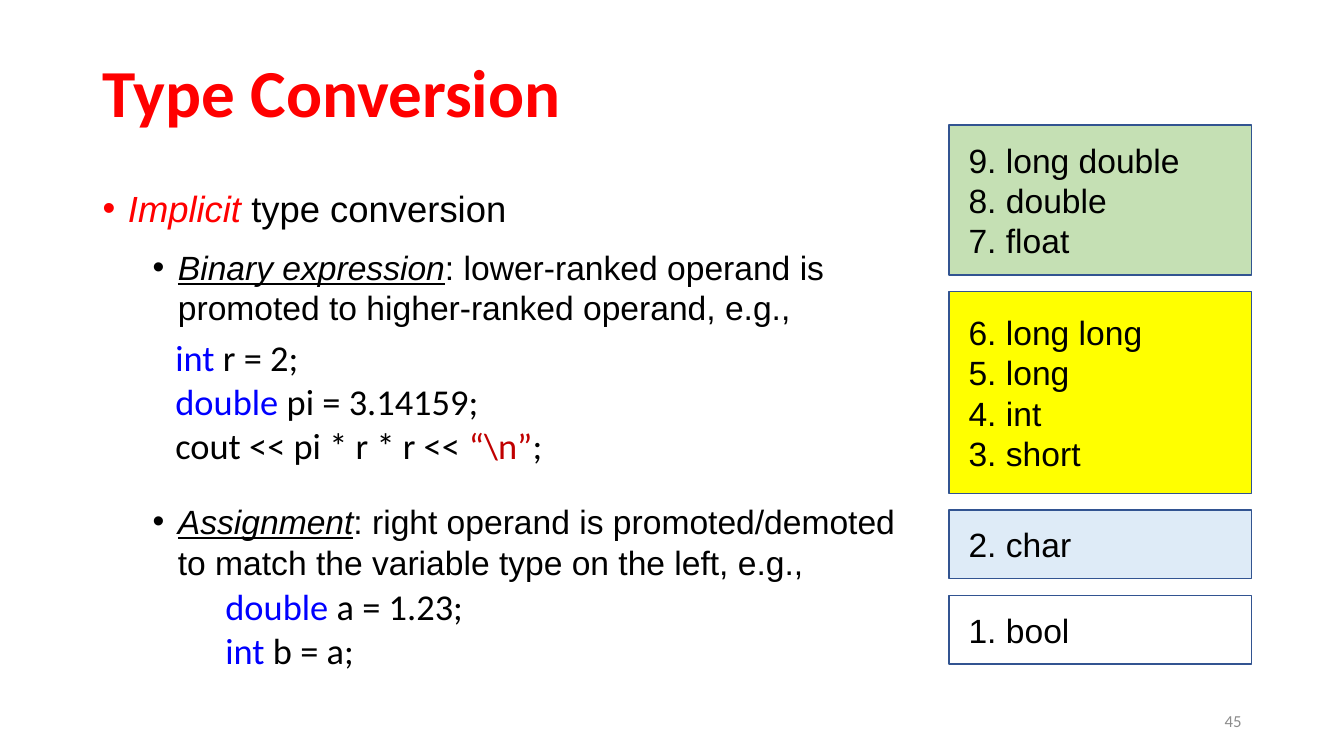
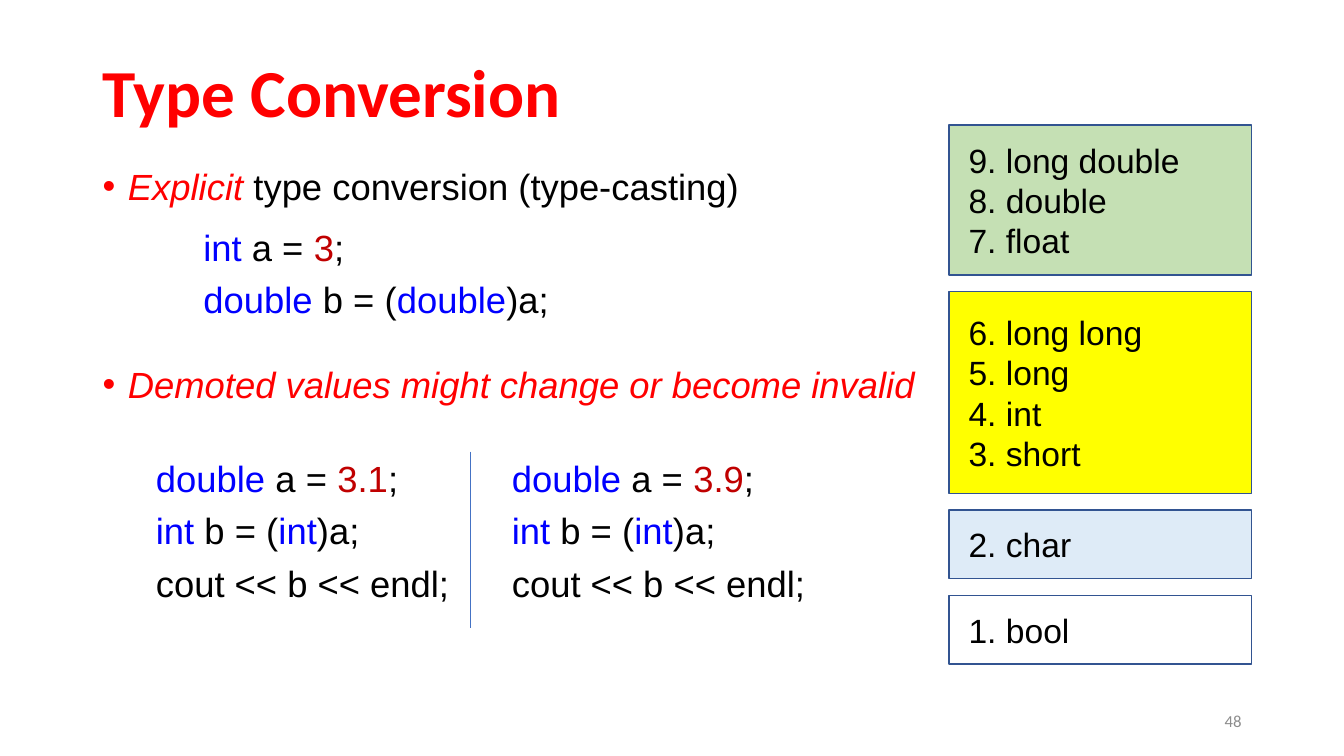
"""Builds two slides on implicit and explicit type conversion."""
from lxml import etree
from pptx import Presentation
from pptx.dml.color import RGBColor
from pptx.enum import shapes, text
from pptx.oxml.ns import qn
from pptx.util import Cm, Pt

RED = RGBColor(0xFF, 0x00, 0x00)
BLACK = RGBColor(0x00, 0x00, 0x00)
KEYWORD = RGBColor(0x00, 0x00, 0xFF)
LITERAL = RGBColor(0xC0, 0x00, 0x00)
GREY = RGBColor(0x8C, 0x8C, 0x8C)
OUTLINE = RGBColor(0x32, 0x54, 0x91)
DIVIDER = RGBColor(0x44, 0x72, 0xC4)
GREEN = RGBColor(0xC5, 0xE0, 0xB4)
YELLOW = RGBColor(0xFF, 0xFF, 0x00)
PALE_BLUE = RGBColor(0xDE, 0xEB, 0xF7)
WHITE = RGBColor(0xFF, 0xFF, 0xFF)

STYLES = {
    "plain": {},
    "key": {"color": KEYWORD},
    "lit": {"color": LITERAL},
    "hot": {"color": RED, "italic": True},
    "term": {"italic": True, "underline": True},
}

TITLE = "Type Conversion"
RANKS = [
    (["9. long double", "8. double", "7. float"], GREEN, 3.78),
    (["6. long long", "5. long", "4. int", "3. short"], YELLOW, 5.08),
    (["2. char"], PALE_BLUE, 1.73),
    (["1. bool"], WHITE, 1.73),
]
RANK_LEFT, RANK_TOP, RANK_WIDTH, RANK_GAP = 23.92, 3.15, 7.62, 0.42

IMPLICIT = [
    ([("Implicit", "hot"), " type conversion"],
     {"bullet": True, "left": 0.64, "before": 6, "after": 6}),
    ([("Binary expression", "term"),
      ": lower-ranked operand is promoted to higher-ranked operand, e.g.,"],
     {"bullet": True, "level": 1, "left": 1.9, "size": 24, "before": 6, "after": 6}),
    ([("Assignment", "term"),
      ": right operand is promoted/demoted to match the variable type on the left, e.g.,"],
     {"bullet": True, "level": 1, "left": 1.9, "size": 24, "before": 118, "after": 6}),
]
BINARY_CODE = [
    [("int", "key"), " r = 2;"],
    [("double", "key"), " pi = 3.14159;"],
    ["cout << pi * r * r << ", ("“\\n”", "lit"), ";"],
]
ASSIGNMENT_CODE = [
    [("double", "key"), " a = 1.23;"],
    [("int", "key"), " b = a;"],
]
EXPLICIT = [
    ([("Explicit", "hot"), " type conversion (type-casting)"],
     {"bullet": True, "left": 0.64, "before": 18}),
    ([("int", "key"), " a = ", ("3", "lit"), ";"], {"left": 2.54, "before": 12}),
    ([("double", "key"), " b = (", ("double", "key"), ")a;"], {"left": 2.54, "before": 6}),
    ([("Demoted values might change or become invalid", "hot")],
     {"bullet": True, "left": 0.64, "before": 30}),
]
DEMOTED_VALUES = ["3.1", "3.9"]


def add_text(tf, runs, first=False, font="Arial", size=26, color=BLACK, bold=False,
             align=text.PP_ALIGN.LEFT, level=0, left=0, bullet=False,
             before=0, after=0, spacing=1.0):
    """Write one formatted paragraph made of plain or styled runs."""
    p = tf.paragraphs[0] if first else tf.add_paragraph()
    p.alignment, p.level, p.line_spacing = align, level, spacing
    p.space_before, p.space_after = Pt(before), Pt(after)
    pPr = p._p.get_or_add_pPr()
    pPr.set("marL", str(Cm(left)))
    pPr.set("indent", str(Cm(-0.64) if bullet else 0))
    if bullet:
        etree.SubElement(pPr, qn("a:buFont")).set("typeface", "Arial")
        etree.SubElement(pPr, qn("a:buChar")).set("char", "•")
    else:
        etree.SubElement(pPr, qn("a:buNone"))
    for item in runs:
        words, style = (item, "plain") if isinstance(item, str) else item
        fmt = STYLES[style]
        r = p.add_run()
        r.text = words
        r.font.name, r.font.size, r.font.bold = font, Pt(size), bold
        r.font.color.rgb = fmt.get("color", color)
        r.font.italic = fmt.get("italic", False)
        r.font.underline = fmt.get("underline", False)


def place(sp, left, top, width, height):
    """Move and size a shape in centimetres."""
    sp.left, sp.top, sp.width, sp.height = map(Cm, (left, top, width, height))


def set_frame(sp, anchor=text.MSO_ANCHOR.TOP):
    """Give a shape a wrapping text frame of fixed size."""
    tf = sp.text_frame
    tf.word_wrap, tf.auto_size = True, text.MSO_AUTO_SIZE.NONE
    tf.vertical_anchor = anchor
    return tf


def add_code(s, lines, left, top, width, height, befores=None, font="Calibri"):
    """Add a text box of code lines."""
    tf = set_frame(s.shapes.add_textbox(Cm(left), Cm(top), Cm(width), Cm(height)))
    for i, runs in enumerate(lines):
        add_text(tf, runs, first=i == 0, font=font, before=befores[i] if befores else 0)


def add_ranks(s):
    """Stack the boxes that rank the types."""
    top = RANK_TOP
    for names, fill, height in RANKS:
        sp = s.shapes.add_shape(shapes.MSO_SHAPE.RECTANGLE, Cm(RANK_LEFT), Cm(top),
                                Cm(RANK_WIDTH), Cm(height))
        sp.shadow.inherit = False
        sp.fill.solid()
        sp.fill.fore_color.rgb = fill
        sp.line.color.rgb, sp.line.width = OUTLINE, Pt(1)
        tf = set_frame(sp, text.MSO_ANCHOR.MIDDLE)
        tf.margin_left = Cm(0.49)
        for i, name in enumerate(names):
            add_text(tf, [name], first=i == 0, size=24)
        top += height + RANK_GAP


def add_slide(prs, number, body, body_top, body_height):
    """Add a slide with title, body, page number and rank boxes."""
    s = prs.slides.add_slide(prs.slide_layouts[1])
    title, content = s.shapes.title, s.placeholders[1]
    place(title, 2.33, 1.02, 29.21, 2.79)
    add_text(set_frame(title, text.MSO_ANCHOR.MIDDLE), [TITLE], first=True,
             font="Calibri", size=48, color=RED, bold=True, spacing=0.9)
    place(content, 2.33, body_top, 21.18, body_height)
    tf = set_frame(content)
    for i, (runs, fmt) in enumerate(body):
        add_text(tf, runs, first=i == 0, **fmt)
    page = s.shapes.add_textbox(Cm(RANK_LEFT), Cm(17.65), Cm(RANK_WIDTH), Cm(1.02))
    add_text(set_frame(page, text.MSO_ANCHOR.MIDDLE), [str(number)], first=True,
             font="Calibri", size=12, color=GREY, align=text.PP_ALIGN.RIGHT)
    add_ranks(s)
    return s


def main():
    prs = Presentation()
    prs.slide_width, prs.slide_height = Cm(33.87), Cm(19.05)

    s = add_slide(prs, 45, IMPLICIT, 4.57, 14.02)
    add_code(s, BINARY_CODE, 4.17, 8.33, 13, 3.58)
    add_code(s, ASSIGNMENT_CODE, 5.43, 14.6, 13, 2.49)

    s = add_slide(prs, 48, EXPLICIT, 4.01, 13.64)
    for i, value in enumerate(DEMOTED_VALUES):
        lines = [
            [("double", "key"), " a = ", (value, "lit"), ";"],
            [("int", "key"), " b = (", ("int", "key"), ")a;"],
            ["cout << b << endl;"],
        ]
        add_code(s, lines, 3.68 + i * 8.97, 11.38, 8.97, 4.01,
                 befores=(12, 6, 6), font="Arial")
    divider = s.shapes.add_connector(shapes.MSO_CONNECTOR.STRAIGHT,
                                     Cm(11.86), Cm(11.38), Cm(11.86), Cm(15.82))
    divider.line.color.rgb, divider.line.width = DIVIDER, Pt(0.5)
    etree.SubElement(divider._element.spPr, qn("a:effectLst"))

    prs.save("out.pptx")


if __name__ == "__main__":
    main()
